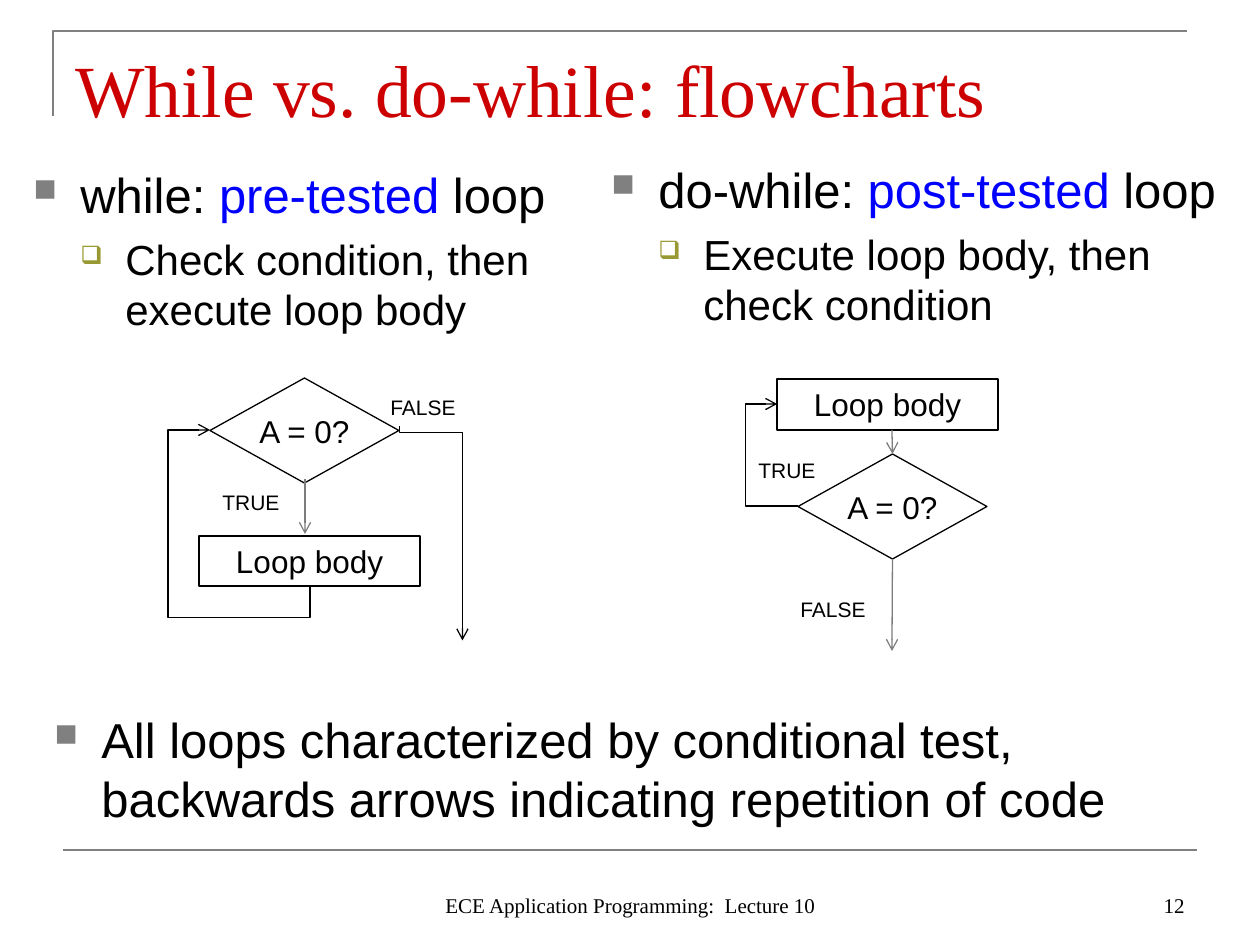
from lxml import etree
from pptx import Presentation
from pptx.dml.color import RGBColor
from pptx.enum.shapes import MSO_CONNECTOR, MSO_SHAPE
from pptx.enum.text import MSO_ANCHOR, PP_ALIGN
from pptx.oxml.ns import qn
from pptx.util import Pt

PX = 914400 / 126
RECT, DECISION = MSO_SHAPE.RECTANGLE, MSO_SHAPE.FLOWCHART_DECISION
STRAIGHT, ELBOW = MSO_CONNECTOR.STRAIGHT, MSO_CONNECTOR.ELBOW
LEFT, CENTER, RIGHT = PP_ALIGN.LEFT, PP_ALIGN.CENTER, PP_ALIGN.RIGHT
TOP, MIDDLE, BOTTOM = MSO_ANCHOR.TOP, MSO_ANCHOR.MIDDLE, MSO_ANCHOR.BOTTOM
BLACK = RGBColor(0, 0, 0)
RED = RGBColor(0xCC, 0, 0)
BLUE = RGBColor(0, 0, 0xFF)
GRAY = RGBColor(0x80, 0x80, 0x80)
ARROW_GRAY = RGBColor(0x7D, 0x7D, 0x7D)
SERIF, SANS = "Times New Roman", "Arial"

prs = Presentation()
prs.slide_width, prs.slide_height = round(1260 * PX), round(945 * PX)
s = prs.slides.add_slide(prs.slide_layouts[6])


def write(p, runs, size, name, align=LEFT):
    p.alignment = align
    for text, color in runs:
        r = p.add_run()
        r.text = text
        for key, value in {"size": Pt(size), "name": name}.items():
            setattr(r.font, key, value)
        r.font.color.rgb = color


def connect(kind, x1, y1, x2, y2, color, width=0.75, arrow=True):
    c = s.shapes.add_connector(kind, *(round(v * PX) for v in (x1, y1, x2, y2)))
    c.line.color.rgb = color
    c.line.width = Pt(width)
    sp_pr = c._element.spPr
    if arrow:
        etree.SubElement(sp_pr.find(qn("a:ln")), qn("a:tailEnd"), type="arrow")
    etree.SubElement(sp_pr, qn("a:effectLst"))
    return c


frame = s.shapes.build_freeform(53, 116, scale=PX)
frame.add_line_segments([(53, 31), (1187, 31)], close=False)
sp = frame.convert_to_shape()
sp.shadow.inherit = False
sp.fill.background()
sp.line.color.rgb = GRAY
sp.line.width = Pt(1.5)
connect(STRAIGHT, 63, 850, 1197, 850, GRAY, 1.5, False)

labels = [
    ("While vs. do-while: flowcharts", 63, 38, 1134, 98, 42, SERIF, RED, LEFT, TOP),
    ("ECE Application Programming:  Lecture 10", 431, 861, 399, 63, 12, SERIF, BLACK, CENTER, BOTTOM),
    ("12", 903, 861, 294, 63, 12, SERIF, BLACK, RIGHT, BOTTOM),
    ("FALSE", 378, 388, 116, 38, 12, SANS, BLACK, LEFT, TOP),
    ("TRUE", 210, 483, 95, 38, 12, SANS, BLACK, LEFT, TOP),
    ("FALSE", 788, 590, 116, 38, 12, SANS, BLACK, LEFT, TOP),
    ("TRUE", 746, 451, 95, 38, 12, SANS, BLACK, LEFT, TOP),
]
for text, x, y, w, h, size, name, color, align, anchor in labels:
    tf = s.shapes.add_textbox(*(round(v * PX) for v in (x, y, w, h))).text_frame
    tf.word_wrap = True
    tf.vertical_anchor = anchor
    write(tf.paragraphs[0], [(text, color)], size, name, align)

levels = [
    {"char": "■", "color": "808080", "pct": "65000", "left": 47, "hang": 47, "size": 28},
    {"char": "❑", "color": "999933", "pct": "60000", "left": 92, "hang": 45, "size": 24},
]
bodies = [
    (21, 158, 557, 687, [
        [("while: ", BLACK), ("pre-tested", BLUE), (" loop", BLACK)],
        [("Check condition, then execute loop body", BLACK)],
    ]),
    (599, 153, 640, 687, [
        [("do-while: ", BLACK), ("post-tested", BLUE), (" loop", BLACK)],
        [("Execute loop body, then check condition", BLACK)],
    ]),
    (42, 703, 1176, 163, [
        [("All loops characterized by conditional test, "
          "backwards arrows indicating repetition of code", BLACK)],
    ]),
]
for x, y, w, h, items in bodies:
    tf = s.shapes.add_textbox(*(round(v * PX) for v in (x, y, w, h))).text_frame
    tf.word_wrap = True
    for i, runs in enumerate(items):
        level = levels[i]
        p = tf.add_paragraph() if i else tf.paragraphs[0]
        p.level = i
        pPr = p._p.get_or_add_pPr()
        pPr.set("marL", str(round(level["left"] * PX)))
        pPr.set("indent", str(-round(level["hang"] * PX)))
        bu_color = etree.SubElement(pPr, qn("a:buClr"))
        etree.SubElement(bu_color, qn("a:srgbClr"), val=level["color"])
        etree.SubElement(pPr, qn("a:buSzPct"), val=level["pct"])
        etree.SubElement(pPr, qn("a:buChar"), char=level["char"])
        if i:
            p.space_before = Pt(6)
        write(p, runs, level["size"], SANS)

nodes = []
for kind, text, x, y, w, h, anchor, wrap in [
    (DECISION, "A = 0?", 210, 378, 189, 105, MIDDLE, False),
    (RECT, "Loop body", 199, 536, 221, 50, TOP, True),
    (DECISION, "A = 0?", 798, 454, 189, 105, MIDDLE, False),
    (RECT, "Loop body", 777, 379, 221, 51, TOP, True),
]:
    sp = s.shapes.add_shape(kind, *(round(v * PX) for v in (x, y, w, h)))
    sp.shadow.inherit = False
    sp.fill.background()
    sp.line.color.rgb = BLACK
    sp.line.width = Pt(0.75)
    tf = sp.text_frame
    tf.word_wrap = wrap
    tf.vertical_anchor = anchor
    write(tf.paragraphs[0], [(text, BLACK)], 18, SANS, CENTER)
    nodes.append(sp)

for x, y, w, h, turn, preset, adjusts in [
    (324, 502, 214, 63, {"rot": "16200000", "flipH": "1"}, "bentConnector3", [2900]),
    (182, 458, 156, 100, {"rot": "16200000", "flipV": "1"}, "bentConnector4", [-20200, 142100]),
    (777, 404, 21, 102, {"rot": "10800000"}, "bentConnector3", [249900]),
]:
    c = connect(ELBOW, x, y, x + w, y + h, BLACK)
    xfrm = c._element.spPr.find(qn("a:xfrm"))
    for key, value in turn.items():
        xfrm.set(key, value)
    geom = c._element.spPr.find(qn("a:prstGeom"))
    geom.set("prst", preset)
    av = geom.find(qn("a:avLst"))
    for n, value in enumerate(adjusts, 1):
        etree.SubElement(av, qn("a:gd"), name=f"adj{n}", fmla=f"val {value}")

test = nodes[2]
connect(STRAIGHT, 892, 559, 892, 651, ARROW_GRAY).begin_connect(test, 2)
connect(STRAIGHT, 305, 479, 305, 534, ARROW_GRAY)
connect(STRAIGHT, 892, 430, 892, 454, ARROW_GRAY).end_connect(test, 0)

prs.save("out.pptx")
